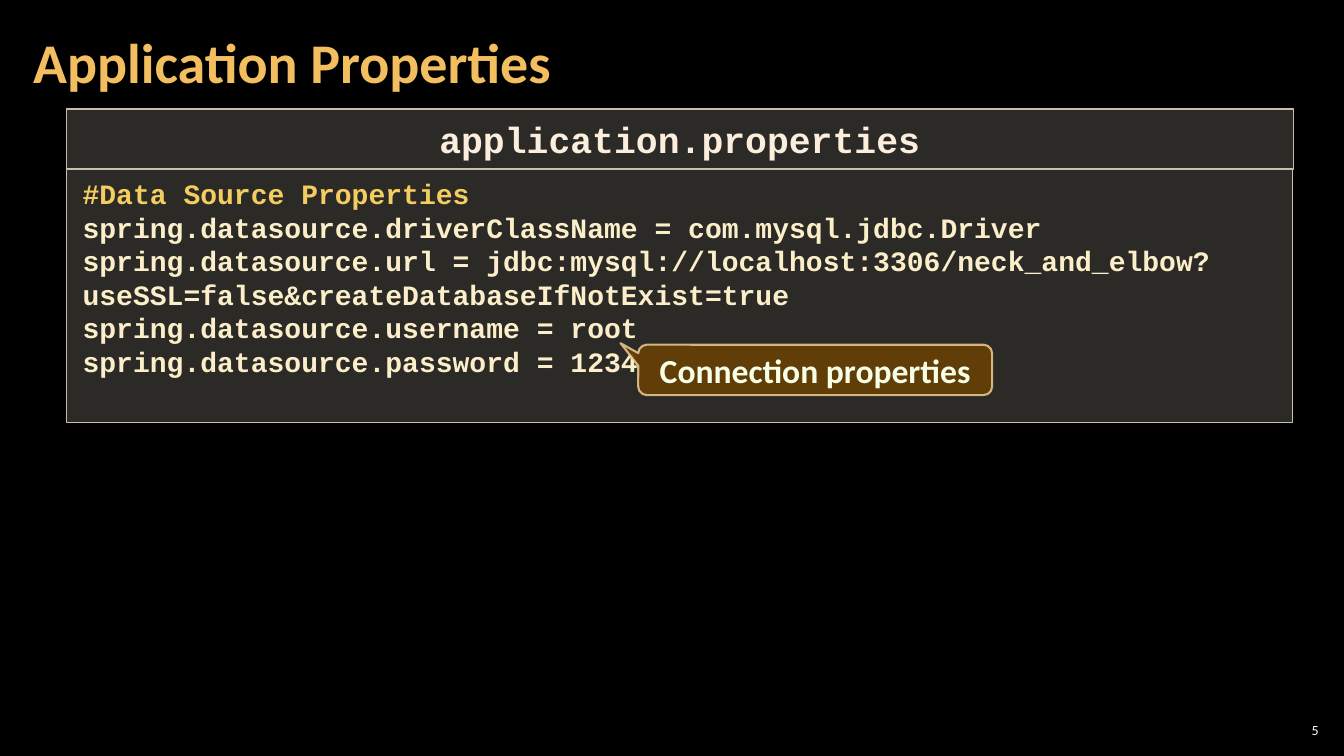
import dataclasses

import lxml.etree
import pptx
import pptx.dml.color
import pptx.enum.shapes
import pptx.enum.text
import pptx.oxml.ns
import pptx.util

Inches = pptx.util.Inches
Shape = pptx.enum.shapes.MSO_SHAPE
Align = pptx.enum.text.PP_ALIGN
Anchor = pptx.enum.text.MSO_ANCHOR


@dataclasses.dataclass(frozen=True)
class Theme:
    back: str = "000000"
    white: str = "FFFFFF"
    gold: str = "F3BE60"
    panel: str = "D9D5C7"
    edge: str = "C7BFAC"
    note: str = "F3CD60"
    code: str = "FBEEC9"
    head: str = "FBEEDC"
    brown: str = "643F07"
    rim: str = "F8D49E"
    pale: str = "F7FFE7"
    sans: str = "Calibri"
    mono: str = "Courier New"
    title: int = 40
    file: int = 26
    label: int = 24
    body: int = 20
    small: int = 10


def tint(text):
    return pptx.dml.color.RGBColor.from_string(text)


def write(frame, text, *, size, color, font, bold=True, align=Align.LEFT,
          anchor=Anchor.TOP, inset=(0.1, 0.05), space=None, first=None):
    frame.word_wrap = True
    frame.vertical_anchor = anchor
    frame.margin_left = frame.margin_right = Inches(inset[0])
    frame.margin_top = frame.margin_bottom = Inches(inset[1])
    for row, line in enumerate(text.split("\n")):
        para = frame.paragraphs[0] if row == 0 else frame.add_paragraph()
        para.alignment = align
        para.line_spacing = space
        run = para.add_run()
        run.text = line
        run.font.size = pptx.util.Pt(size)
        run.font.name = font
        run.font.bold = bold
        run.font.color.rgb = tint(first if first and row == 0 else color)


class Deck:
    def __init__(self, theme):
        self.theme = theme
        self.show = pptx.Presentation()
        self.show.slide_width = Inches(13.33)
        self.show.slide_height = Inches(7.5)
        self.slide = self.show.slides.add_slide(self.show.slide_layouts[6])
        self.paint(self.slide.background.fill, theme.back)

    def paint(self, fill, color, alpha=100):
        fill.solid()
        fill.fore_color.rgb = tint(color)
        if alpha < 100:
            tag = pptx.oxml.ns.qn("a:srgbClr")
            node = fill._xPr.find(".//" + tag)
            lxml.etree.SubElement(node, pptx.oxml.ns.qn("a:alpha"),
                                  val=str(alpha * 1000))

    def text(self, at, words, **style):
        box = self.slide.shapes.add_textbox(*map(Inches, at))
        write(box.text_frame, words, **style)

    def shape(self, kind, at, fill, line, width, words, **style):
        shape = self.slide.shapes.add_shape(kind, *map(Inches, at))
        shape.shadow.inherit = False
        self.paint(shape.fill, *fill)
        self.paint(shape.line.fill, *line)
        shape.line.width = pptx.util.Pt(width)
        write(shape.text_frame, words, **style)
        return shape

    def panel(self, at, words, **style):
        self.shape(Shape.RECTANGLE, at, (self.theme.panel, 20),
                   (self.theme.edge,), 1, words, font=self.theme.mono,
                   inset=(0.16, 0.08), **style)

    def callout(self, at, tail, words):
        look = self.theme
        shape = self.shape(Shape.ROUNDED_RECTANGULAR_CALLOUT, at,
                           (look.brown, 95), (look.rim, 80), 1.5, words,
                           size=look.label, color=look.pale, font=look.sans,
                           align=Align.CENTER, anchor=Anchor.MIDDLE)
        for spot, value in enumerate(tail):
            shape.adjustments[spot] = value


CODE = """#Data Source Properties
spring.datasource.driverClassName = com.mysql.jdbc.Driver
spring.datasource.url = jdbc:mysql://localhost:3306/neck_and_elbow?useSSL=false&createDatabaseIfNotExist=true
spring.datasource.username = root
spring.datasource.password = 1234"""


def main():
    look = Theme()
    deck = Deck(look)
    deck.text((12.65, 7.14, 0.47, 0.21), "5", size=look.small,
              color=look.white, font=look.sans, bold=False,
              align=Align.RIGHT, anchor=Anchor.MIDDLE, inset=(0.04, 0.04))
    deck.text((0.21, 0.04, 10.47, 1.21), "Application Properties",
              size=look.title, color=look.gold, font=look.sans,
              anchor=Anchor.MIDDLE, inset=(0.12, 0.04), space=0.9)
    deck.panel((0.66, 1.67, 12.16, 2.52), CODE, size=look.body,
               color=look.code, first=look.note)
    deck.panel((0.66, 1.08, 12.17, 0.6), "application.properties",
               size=look.file, color=look.head, align=Align.CENTER)
    deck.callout((6.33, 3.42, 3.51, 0.5), (-0.55, -0.53, 0.17),
                 "Connection properties")
    deck.show.save("out.pptx")


if __name__ == "__main__":
    main()
